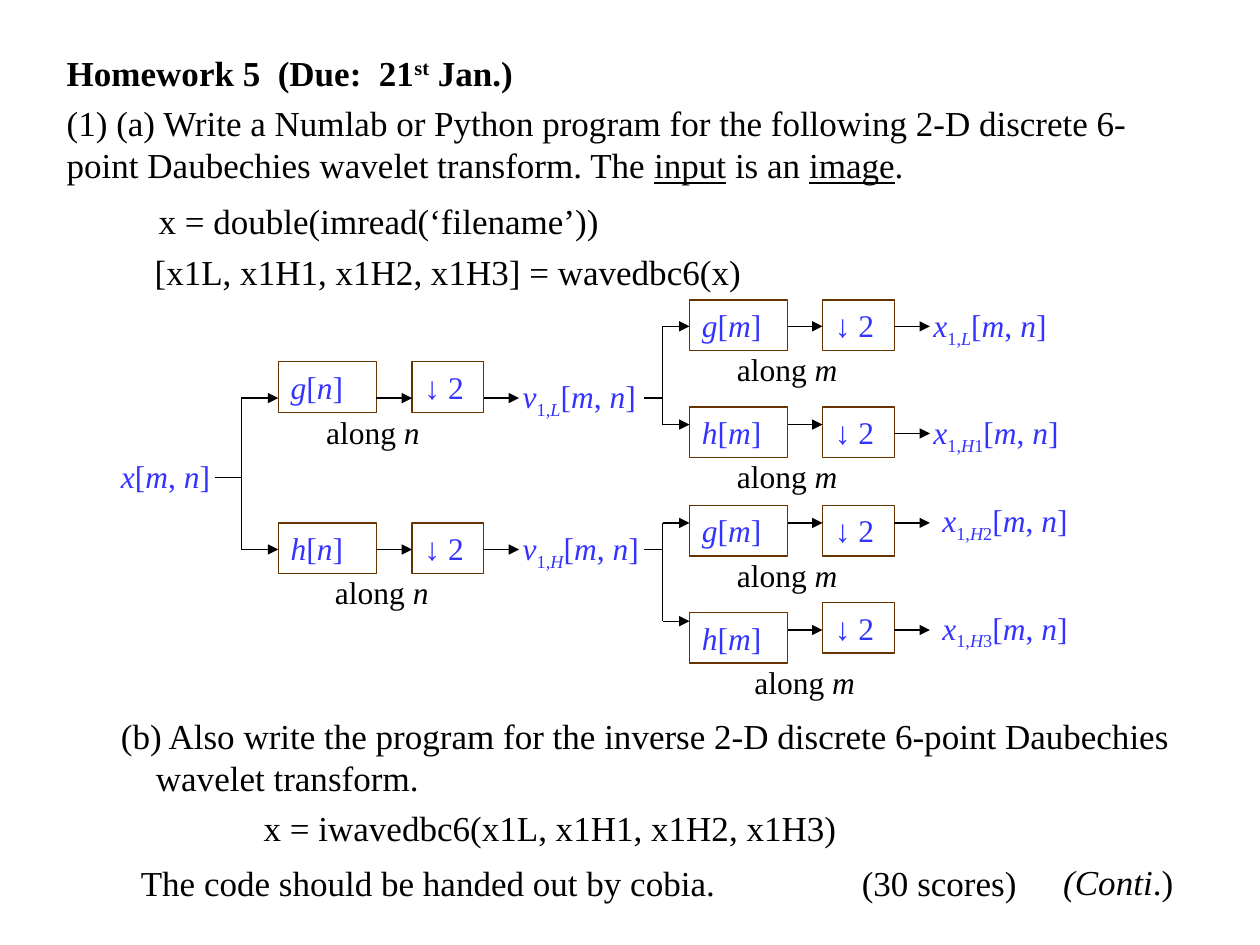
"""Build the wavelet homework slide with its two-stage filter bank."""
from lxml.etree import SubElement
from pptx import Presentation
from pptx.dml.color import RGBColor
from pptx.enum.shapes import MSO_CONNECTOR as Connector, MSO_SHAPE as Shape
from pptx.enum.text import MSO_ANCHOR as Anchor, PP_ALIGN as Align
from pptx.oxml.ns import qn
from pptx.util import Pt

BLACK = RGBColor(0x00, 0x00, 0x00)
BLUE = RGBColor(0x33, 0x33, 0xFF)
BROWN = RGBColor(0x66, 0x33, 0x00)
FONT = "Times New Roman"
BASELINES = {"^": "30000", "_": "-25000"}
ROW = 29
FILTER_WIDTH, DOWN_WIDTH = 56, 41
TRUNK, FILTER_1, DOWN_1, MIDDLE = 138, 159, 235.5, 291.6
BRANCH, FILTER_2, DOWN_2, OUTPUT_ARROW = 378.7, 394, 470, 531.4

FIRST_STAGE = [
    ("g", 206.6, 227.5, (179.3, 232.6), 211.7, "L"),
    ("h", 298.8, 314, (184.3, 324), 298.8, "H"),
]
SECOND_STAGE = [
    ("g", 171.4, 171.4, 186.5, 186.5, 186.5, (414, 196.6), (526.3, 171.4), "L", ""),
    ("h", 232.6, 232.6, 242.6, 242.6, 247.7, (414, 257.8), (526.3, 232.6), "H", "1"),
    ("g", 288.7, 288.7, 298.8, 298.8, 298.8, (414, 313.9), (531.4, 283), "H", "2"),
    ("h", 349.9, 344.2, 355, 360, 360, (424, 375.1), (531.4, 344.2), "H", "3"),
]


def write(shape, runs, size, color):
    """Fill a shape with runs of (text, style letters)."""
    frame = shape.text_frame
    frame.word_wrap = True
    frame.vertical_anchor = Anchor.TOP
    paragraph = frame.paragraphs[0]
    paragraph.alignment = Align.LEFT
    paragraph.font.name = FONT
    paragraph.font.size = Pt(size)
    paragraph.font.color.rgb = color
    for text, style in runs:
        run = paragraph.add_run()
        run.text = text
        if "i" in style:
            run.font.italic = True
        if "u" in style:
            run.font.underline = True
        for mark, baseline in BASELINES.items():
            if mark in style:
                run._r.get_or_add_rPr().set("baseline", baseline)
    return paragraph


def add_text(slide, left, top, width, height, runs, size=20, color=BLACK):
    """Add a text box and return its paragraph."""
    shape = slide.shapes.add_textbox(Pt(left), Pt(top), Pt(width), Pt(height))
    return write(shape, runs, size, color)


def add_block(slide, left, top, width, runs):
    """Add an outlined block of the filter bank."""
    shape = slide.shapes.add_shape(Shape.RECTANGLE, Pt(left), Pt(top), Pt(width), Pt(ROW))
    shape.shadow.inherit = False
    shape.fill.background()
    shape.line.color.rgb = BROWN
    shape.line.width = Pt(0.75)
    write(shape, runs, 18, BLUE)


def add_line(slide, x1, y1, x2, y2, arrow=False):
    """Add a thin black line, with an arrowhead at its end if asked."""
    line = slide.shapes.add_connector(Connector.STRAIGHT, Pt(x1), Pt(y1), Pt(x2), Pt(y2))
    line.line.color.rgb = BLACK
    line.line.width = Pt(0.75)
    if arrow:
        SubElement(line.line._get_or_add_ln(), qn("a:tailEnd"), type="triangle")
    SubElement(line._element.spPr, qn("a:effectLst"))


def signal(name, band="", number=""):
    """Return the runs of a two-dimensional signal name."""
    runs = [(name, "i")]
    if band:
        runs += [("1,", "_"), (band, "i_")]
    if number:
        runs.append((number, "_"))
    return runs + [("[", ""), ("m", "i"), (", ", ""), ("n", "i"), ("]", "")]


def add_filter(slide, letter, index, left, top, down_left, down_top, arrow_y, label):
    """Add a filter, its downsampler, the arrow between and the direction."""
    add_block(slide, left, top, FILTER_WIDTH, [(letter, "i"), ("[", ""), (index, "i"), ("]", "")])
    add_block(slide, down_left, down_top, DOWN_WIDTH, [("↓ 2", "")])
    add_line(slide, left + FILTER_WIDTH, arrow_y, down_left, arrow_y, True)
    add_text(slide, *label, 102, ROW, [("along ", ""), (index, "i")], 18)


def add_fork(slide, start, x, y, ends, end_x):
    """Add a line that splits into two arrows."""
    add_line(slide, start, y, x, y)
    add_line(slide, x, ends[0], x, ends[1])
    for end in ends:
        add_line(slide, x, end, end_x, end, True)


def add_filter_bank(slide):
    """Add the two filtering stages."""
    add_text(slide, 62, 257.8, 67, ROW, signal("x"), 18, BLUE)
    add_fork(slide, 123, TRUNK, 272.9, [row[2] for row in FIRST_STAGE], FILTER_1)
    for number, (letter, top, y, label, signal_top, band) in enumerate(FIRST_STAGE):
        add_filter(slide, letter, "n", FILTER_1, top, DOWN_1, top, y, label)
        add_line(slide, DOWN_1 + DOWN_WIDTH, y, 296.6, y, True)
        add_text(slide, MIDDLE, signal_top, 82, ROW, signal("v", band), 18, BLUE)
        ends = [row[3] for row in SECOND_STAGE[2 * number:2 * number + 2]]
        add_fork(slide, 368, BRANCH, y, ends, FILTER_2)
    for letter, top, down_top, _, middle_y, out_y, label, output, band, number in SECOND_STAGE:
        add_filter(slide, letter, "m", FILTER_2, top, DOWN_2, down_top, middle_y, label)
        add_line(slide, DOWN_2 + DOWN_WIDTH, out_y, OUTPUT_ARROW, out_y, True)
        add_text(slide, *output, 97, ROW, signal("x", band, number), 18, BLUE)


def add_instructions(slide):
    """Add the title and the task texts."""
    title = add_text(slide, 31, 21, 663, 34,
                     [("Homework 5  (Due:  21", ""), ("st", "^"), (" Jan.)", "")])
    title.font.bold = True
    title.line_spacing = 1.2
    add_text(slide, 31, 54.7, 652, 55, [
        ("(1) (a) Write a Numlab or Python program for the following 2-D discrete "
         "6-point Daubechies wavelet transform. The ", ""),
        ("input", "u"), (" is an ", ""), ("image", "u"), (".", "")])
    add_text(slide, 83.5, 110.2, 284, 31, [("x = double(imread(‘filename’))", "")])
    add_text(slide, 81.3, 139.7, 410, 31, [("[x1L, x1H1, x1H2, x1H3] = wavedbc6(x)", "")])
    inverse = add_text(slide, 62, 404.6, 635, 55, [
        ("(b) Also write the program for the inverse 2-D discrete 6-point Daubechies "
         "wavelet transform.", "")])
    properties = inverse._p.get_or_add_pPr()
    properties.set("marL", str(Pt(20)))
    properties.set("indent", str(-Pt(20)))
    add_text(slide, 143.6, 457.2, 382, 31, [("x = iwavedbc6(x1L, x1H1, x1H2, x1H3)", "")])
    delivery = add_text(slide, 73.4, 488.9, 519, 32, [
        ("The code should be handed out by cobia.\t(30 scores)", "")])
    tabs = delivery._p.get_or_add_pPr().makeelement(qn("a:tabLst"))
    SubElement(tabs, qn("a:tab"), pos=str(Pt(412)), algn="l")
    delivery._p.get_or_add_pPr().find(qn("a:defRPr")).addprevious(tabs)
    add_text(slide, 600.5, 488.2, 96.5, 32, [("(Conti", "i"), (".)", "")])


def main():
    """Create and save the presentation."""
    presentation = Presentation()
    presentation.slide_width, presentation.slide_height = Pt(720), Pt(540)
    slide = presentation.slides.add_slide(presentation.slide_layouts[6])
    add_instructions(slide)
    add_filter_bank(slide)
    presentation.save("out.pptx")


main()
